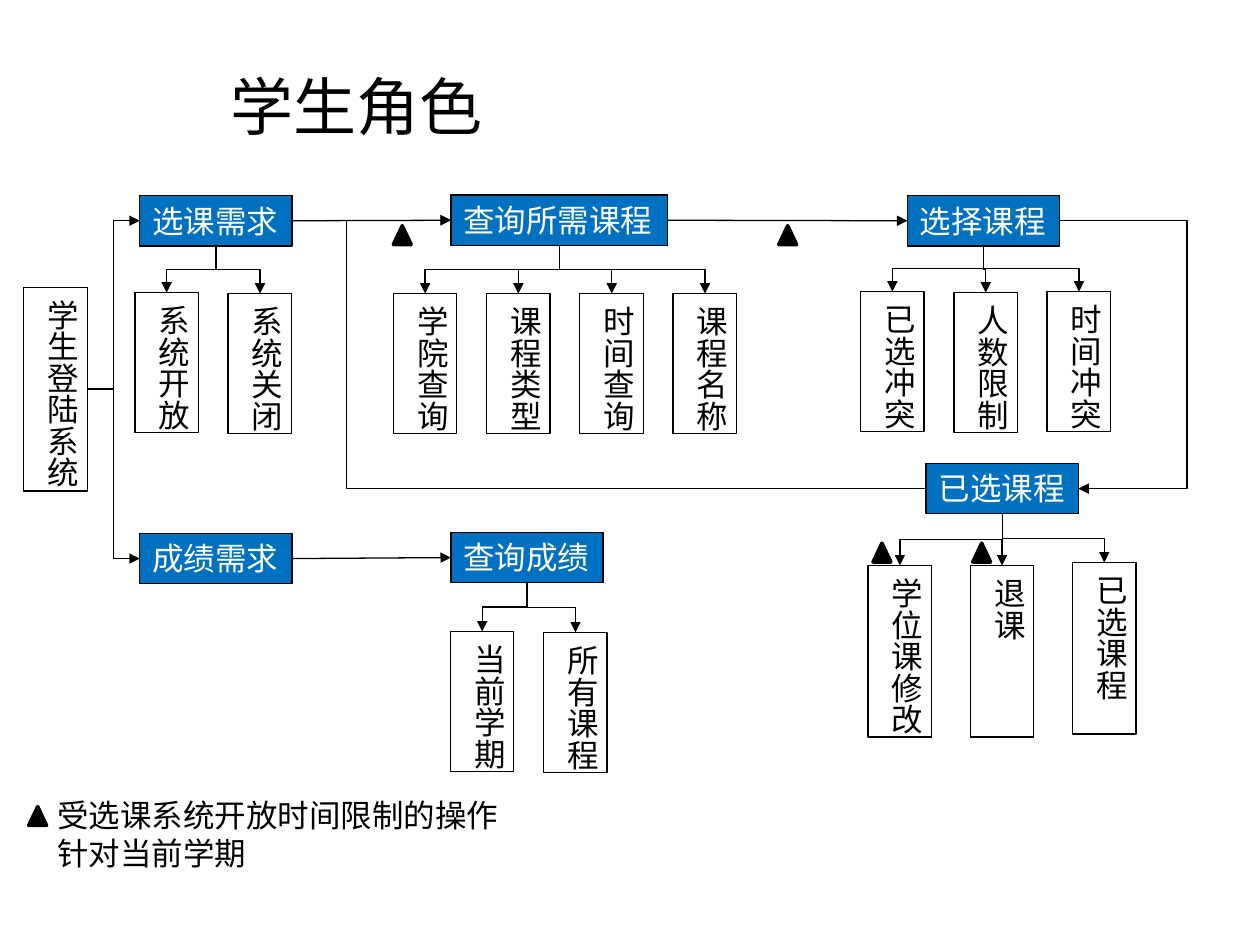
from lxml import etree
from pptx import Presentation
from pptx import util as u
from pptx.dml import color
from pptx.enum import shapes, text
from pptx.oxml import ns

BLACK, WHITE, BLUE = "000000", "FFFFFF", "0070C0"
HEAD_HEIGHT, LEAF_WIDTH, LEAF_HEIGHT = 1.02, 1.28, 2.82
TITLE = "学生角色"
LEGEND = ["受选课系统开放时间限制的操作", "针对当前学期"]
LOGIN = ("学生登陆系统", 0.48, 5.79, LEAF_WIDTH, 4.11)

STEPS = [
    {"head": ("选课需求", 2.82, 3.94, 3.07), "left": 2.72,
     "leaves": [("系统开放", 5.9), ("系统关闭", 5.92)]},
    {"head": ("查询所需课程", 9.09, 3.93, 4.37), "left": 7.93,
     "leaves": [("学院查询", 5.92), ("课程类型", 5.92), ("时间查询", 5.92), ("课程名称", 5.92)]},
    {"head": ("选择课程", 18.29, 3.94, 3.07), "left": 17.35,
     "leaves": [("已选冲突", 5.88), ("人数限制", 5.9), ("时间冲突", 5.88)]},
    {"head": ("已选课程", 18.67, 9.34, 3.07), "left": 17.5, "pitch": 2.06, "height": 3.46,
     "leaves": [("学位课修改", 11.4), ("退课", 11.4), ("已选课程", 11.34)]},
    {"head": ("成绩需求", 2.82, 10.75, 3.07)},
    {"head": ("查询成绩", 9.09, 10.73, 3.07), "left": 9.08,
     "leaves": [("当前学期", 12.73), ("所有课程", 12.75)]},
]
FLOWS = [("选课需求", "查询所需课程"), ("查询所需课程", "选择课程"), ("成绩需求", "查询成绩")]
LOGIN_TARGETS = ["选课需求", "成绩需求"]
MARKERS = [(7.93, 4.55), (15.7, 4.55), (17.6, 10.95), (19.61, 10.95), (0.58, 16.26)]


def rgb(value):
    return color.RGBColor.from_string(value)


def write(frame, lines, size=18, ink=BLACK, align=text.PP_ALIGN.LEFT,
          anchor=text.MSO_ANCHOR.TOP, wrap=False, fit=text.MSO_AUTO_SIZE.SHAPE_TO_FIT_TEXT):
    frame.word_wrap = wrap
    frame.auto_size = fit
    frame.vertical_anchor = anchor
    for index, line in enumerate(lines):
        paragraph = frame.paragraphs[0] if index == 0 else frame.add_paragraph()
        paragraph.alignment = align
        run = paragraph.add_run()
        run.text = line
        run.font.size = u.Pt(size)
        run.font.name = "Calibri"
        run.font.color.rgb = rgb(ink)


def draw(slide, kind, left, top, width, height, fill=None, weight=0.75):
    shape = slide.shapes.add_shape(kind, u.Cm(left), u.Cm(top), u.Cm(width), u.Cm(height))
    shape.shadow.inherit = False
    if fill:
        shape.fill.solid()
        shape.fill.fore_color.rgb = rgb(fill)
    else:
        shape.fill.background()
    shape.line.color.rgb = rgb(BLACK)
    shape.line.width = u.Pt(weight)
    return shape


def box(slide, label, left, top, width, height, head=False):
    shape = draw(slide, shapes.MSO_SHAPE.RECTANGLE, left, top, width, height,
                 BLUE if head else None)
    if not head:
        shape.text_frame._txBody.bodyPr.set("vert", "eaVert")
    write(shape.text_frame, [label], ink=WHITE if head else BLACK, wrap=len(label) == 2)
    return left, top, width, height


def left_of(area):
    return area[0], area[1] + area[3] / 2


def right_of(area):
    return area[0] + area[2], area[1] + area[3] / 2


def arrow(slide, start, end, kind=shapes.MSO_CONNECTOR.ELBOW, turn=None):
    points = [u.Cm(value) for value in (*start, *end)]
    line = slide.shapes.add_connector(kind, *points)
    line.line.color.rgb = rgb(BLACK)
    line.line.width = u.Pt(0.75)
    etree.SubElement(line.line._get_or_add_ln(), ns.qn("a:tailEnd"), type="triangle")
    properties = line._element.spPr
    etree.SubElement(properties, ns.qn("a:effectLst"))
    if turn is not None:
        share = round((turn - start[0]) / (end[0] - start[0]) * 100000)
        guides = properties.find(".//" + ns.qn("a:avLst"))
        etree.SubElement(guides, ns.qn("a:gd"), name="adj1", fmla=f"val {share}")
    return line


def drop_arrow(slide, start, end):
    center_x, center_y = (start[0] + end[0]) / 2, (start[1] + end[1]) / 2
    half_run, half_rise = (end[1] - start[1]) / 2, abs(end[0] - start[0]) / 2
    side, angle = (1, 90) if end[0] < start[0] else (-1, 270)
    line = arrow(slide, (center_x - side * half_run, center_y - half_rise),
                 (center_x + side * half_run, center_y + half_rise))
    line._element.spPr.xfrm.set("rot", str(angle * 60000))


def add_step(slide, step):
    label, left, top, width = step["head"]
    area = box(slide, label, left, top, width, HEAD_HEIGHT, head=True)
    for index, (leaf, leaf_top) in enumerate(step.get("leaves", [])):
        leaf_left = step["left"] + index * step.get("pitch", 1.88)
        box(slide, leaf, leaf_left, leaf_top, LEAF_WIDTH, step.get("height", LEAF_HEIGHT))
        drop_arrow(slide, (left + width / 2, top + HEAD_HEIGHT),
                   (leaf_left + LEAF_WIDTH / 2, leaf_top))
    return area


def main():
    deck = Presentation()
    deck.slide_width, deck.slide_height = u.Cm(25.4), u.Cm(19.05)
    slide = deck.slides.add_slide(deck.slide_layouts[5])

    title = slide.shapes.title
    title.left, title.top, title.width, title.height = map(u.Cm, (0.08, 0.53, 14.2, 3.18))
    write(title.text_frame, [TITLE], size=36, align=text.PP_ALIGN.CENTER,
          anchor=text.MSO_ANCHOR.MIDDLE, wrap=True, fit=text.MSO_AUTO_SIZE.NONE)

    heads = {step["head"][0]: add_step(slide, step) for step in STEPS}
    login = box(slide, *LOGIN)

    for source, target in FLOWS:
        arrow(slide, right_of(heads[source]), left_of(heads[target]),
              shapes.MSO_CONNECTOR.STRAIGHT)
    for target in LOGIN_TARGETS:
        arrow(slide, right_of(login), left_of(heads[target]))
    arrow(slide, right_of(heads["选择课程"]), right_of(heads["已选课程"]), turn=23.93)
    arrow(slide, left_of(heads["已选课程"]), left_of(heads["查询所需课程"]), turn=6.98)

    for left, top in MARKERS:
        draw(slide, shapes.MSO_SHAPE.ISOSCELES_TRIANGLE, left, top, 0.36, 0.38, BLACK, 2)
    legend = slide.shapes.add_textbox(u.Cm(0.91), u.Cm(15.93), u.Cm(9.5), u.Cm(1.8))
    write(legend.text_frame, LEGEND)

    deck.save("out.pptx")


if __name__ == "__main__":
    main()
